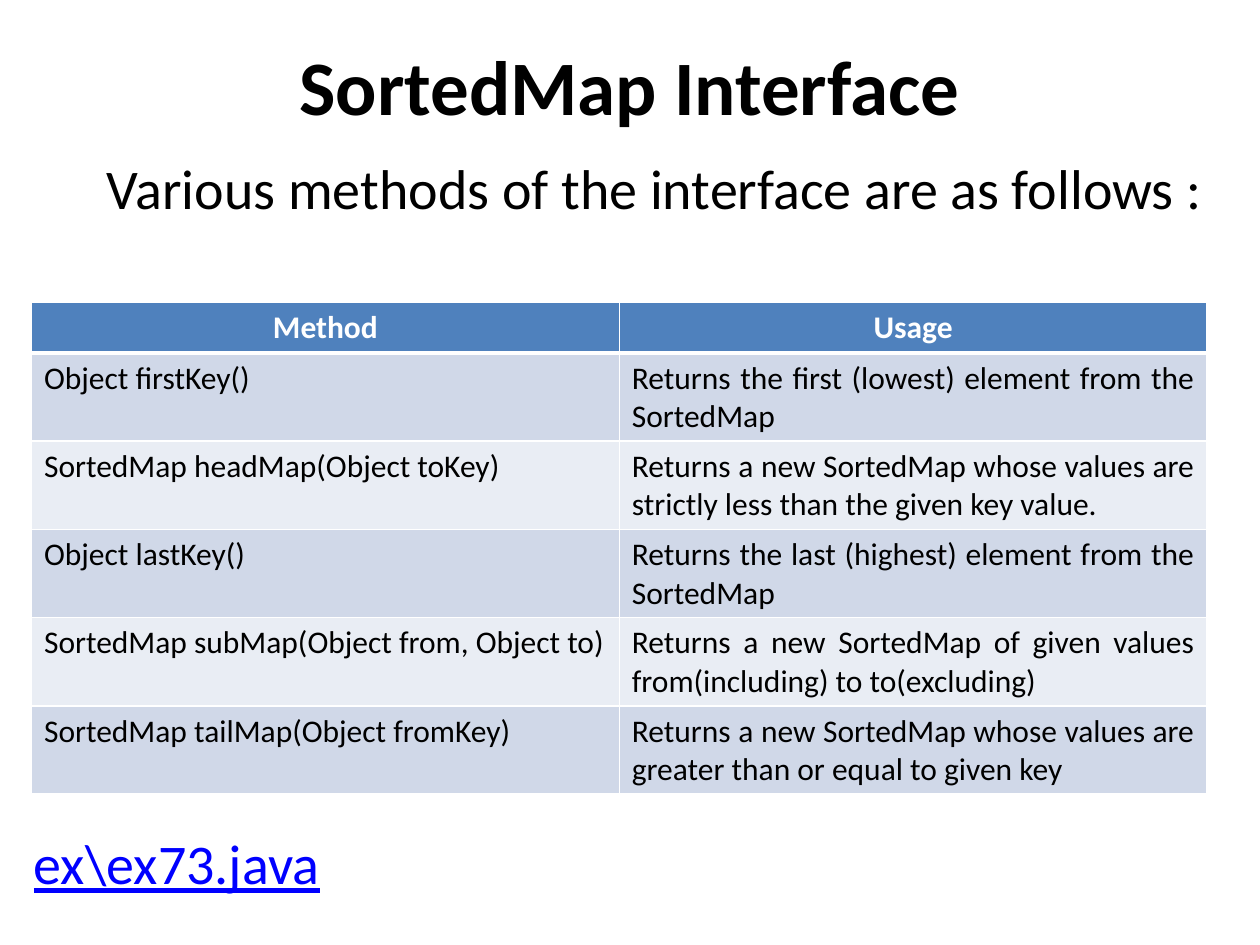
from lxml.etree import SubElement
from pptx import Presentation
from pptx.dml.color import RGBColor
from pptx.enum.text import MSO_ANCHOR, PP_ALIGN
from pptx.oxml.ns import qn
from pptx.util import Inches, Pt

BLACK = RGBColor(0x00, 0x00, 0x00)
WHITE = RGBColor(0xFF, 0xFF, 0xFF)
LINK_BLUE = RGBColor(0x00, 0x00, 0xFF)
HEADER_BLUE = RGBColor(0x4F, 0x81, 0xBD)
BAND_DARK = RGBColor(0xD0, 0xD8, 0xE8)
BAND_LIGHT = RGBColor(0xE9, 0xED, 0xF4)

METHODS = [
    ("Object firstKey()", "Returns the first (lowest) element from the SortedMap"),
    ("SortedMap headMap(Object toKey)",
     "Returns a new SortedMap whose values are strictly less than the given key value."),
    ("Object lastKey()", "Returns the last (highest) element from the SortedMap"),
    ("SortedMap subMap(Object from, Object to)",
     "Returns a new SortedMap of given values from(including) to to(excluding)"),
    ("SortedMap tailMap(Object fromKey)",
     "Returns a new SortedMap whose values are greater than or equal to given key"),
]


class SlideBuilder:
    font_name = "Calibri"

    def __init__(self, slide):
        self.slide = slide

    def fill_text(self, frame, content, size, color, align, bold=False, underline=None):
        paragraph = frame.paragraphs[0]
        paragraph.text = content
        paragraph.alignment = align
        font = paragraph.font
        font.name = self.font_name
        font.size = Pt(size)
        font.bold = bold
        font.underline = underline
        font.color.rgb = color

    def text(self, left, top, width, height, content, size, color=BLACK,
             align=PP_ALIGN.JUSTIFY, anchor=MSO_ANCHOR.TOP, **emphasis):
        box = self.slide.shapes.add_textbox(
            Inches(left), Inches(top), Inches(width), Inches(height))
        frame = box.text_frame
        frame.word_wrap = True
        frame.vertical_anchor = anchor
        self.fill_text(frame, content, size, color, align, **emphasis)

    def borders(self, cell, bottom_width):
        properties = cell._tc.get_or_add_tcPr()
        widths = {"a:lnL": 1, "a:lnR": 1, "a:lnT": 1, "a:lnB": bottom_width}
        for position, (tag, width) in enumerate(widths.items()):
            line = SubElement(properties, qn(tag), w=str(Pt(width)))
            fill = SubElement(line, qn("a:solidFill"))
            SubElement(fill, qn("a:srgbClr"), val=str(WHITE))
            properties.insert(position, line)

    def cell(self, cell, content, fill, color, align, bold=False, bottom_width=1):
        cell.fill.solid()
        cell.fill.fore_color.rgb = fill
        self.borders(cell, bottom_width)
        self.fill_text(cell.text_frame, content, 18, color, align, bold)

    def table(self, left, top, width, header, rows, header_height, row_height):
        height = header_height + row_height * len(rows)
        table = self.slide.shapes.add_table(
            len(rows) + 1, len(header), Inches(left), Inches(top),
            Inches(width), Inches(height)).table
        table.rows[0].height = Inches(header_height)
        for column, heading in enumerate(header):
            self.cell(table.cell(0, column), heading, HEADER_BLUE, WHITE,
                      PP_ALIGN.CENTER, bold=True, bottom_width=3)
        for index, (method, usage) in enumerate(rows, start=1):
            table.rows[index].height = Inches(row_height)
            band = BAND_DARK if index % 2 else BAND_LIGHT
            self.cell(table.cell(index, 0), method, band, BLACK, PP_ALIGN.LEFT)
            self.cell(table.cell(index, 1), usage, band, BLACK, PP_ALIGN.JUSTIFY)


def main():
    presentation = Presentation()
    presentation.slide_width = Inches(10)
    presentation.slide_height = Inches(7.5)
    builder = SlideBuilder(presentation.slides.add_slide(presentation.slide_layouts[6]))

    builder.text(0, 0.17, 10, 1, "SortedMap Interface", 44,
                 align=PP_ALIGN.CENTER, anchor=MSO_ANCHOR.MIDDLE, bold=True)
    builder.text(0.25, 1.17, 9.58, 1.18,
                 "\tVarious methods of the interface are as follows :", 32)
    builder.table(0.25, 2.4, 9.33, ("Method", "Usage"), METHODS, 0.4, 0.7)
    builder.text(0.17, 6.53, 9.58, 0.64, "ex\\ex73.java", 32, LINK_BLUE, underline=True)

    presentation.save("out.pptx")


if __name__ == "__main__":
    main()
